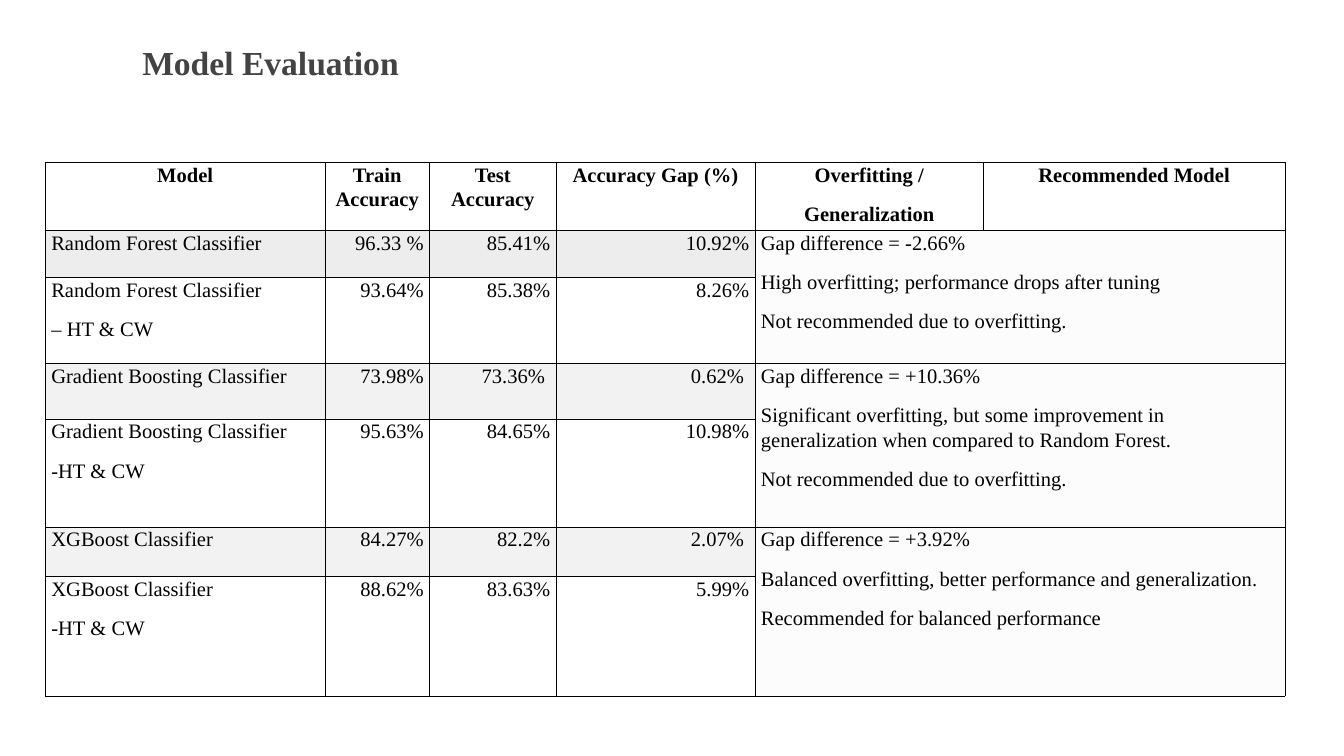
from lxml.etree import SubElement
from pptx import Presentation
from pptx.dml.color import RGBColor
from pptx.enum.text import PP_ALIGN
from pptx.oxml import parse_xml
from pptx.oxml.ns import nsdecls, qn
from pptx.util import Cm, Pt

COLUMN_WIDTHS = [5.28, 1.98, 2.39, 3.76, 4.32, 5.69]
ROW_HEIGHTS = [1.28, 0.89, 1.63, 1.05, 2.04, 0.94, 2.26]
HEADINGS = ["Model", "Train Accuracy", "Test Accuracy", "Accuracy Gap (%)",
            "Overfitting /\nGeneralization", "Recommended Model"]

# Each group: fill of its first row, two rows of results, shared verdict
GROUPS = [
    ("A6A6A6",
     [["Random Forest Classifier", "96.33 %", "85.41%", "10.92%"],
      ["Random Forest Classifier\n– HT & CW", "93.64%", "85.38%", "8.26%"]],
     "Gap difference = -2.66%\n"
     "High overfitting; performance drops after tuning\n"
     "Not recommended due to overfitting."),
    ("BFBFBF",
     [["Gradient Boosting Classifier", "73.98%", "73.36% ", "0.62% "],
      ["Gradient Boosting Classifier\n-HT & CW", "95.63%", "84.65%", "10.98%"]],
     "Gap difference = +10.36%\n"
     "Significant overfitting, but some improvement in generalization "
     "when compared to Random Forest.\n"
     "Not recommended due to overfitting."),
    ("BFBFBF",
     [["XGBoost Classifier", "84.27%", "82.2%", "2.07% "],
      ["XGBoost Classifier\n-HT & CW", "88.62%", "83.63%", "5.99%"]],
     "Gap difference = +3.92%\n"
     "Balanced overfitting, better performance and generalization.\n"
     "Recommended for balanced performance"),
]

TITLE_FONT = {"name": "Times New Roman", "size": Pt(18), "bold": True}
HEADING_FONT = {"name": "Times New Roman", "size": Pt(11), "bold": True}
BODY_FONT = HEADING_FONT | {"bold": False}
CELL_SPACING = {"line_spacing": 1.07, "space_after": Pt(8)}
CELL_MARGINS = {"margin_left": Cm(0.11), "margin_right": Cm(0.11),
                "margin_top": 0, "margin_bottom": 0}


def color(hex_value):
    return RGBColor.from_string(hex_value)


def apply(target, values):
    for name, value in values.items():
        setattr(target, name, value)


def write_text(frame, text, font, font_color, spacing):
    frame.text = text
    for paragraph in frame.paragraphs:
        apply(paragraph, spacing)
        for run in paragraph.runs:
            apply(run.font, font)
            run.font.color.rgb = color(font_color)


def add_title(slide, text):
    title = slide.shapes.add_textbox(Cm(2.44), Cm(0.56), Cm(7.6), Cm(1.6))
    title.text_frame.word_wrap = True
    write_text(title.text_frame, text, TITLE_FONT, "434343", {"line_spacing": 1.15})


def shade(cell, fill):
    """Fill a cell at 20 % opacity, or leave it clear."""
    if fill is None:
        cell.fill.background()
        return
    cell.fill.solid()
    cell.fill.fore_color.rgb = color(fill)
    for tint in cell._tc.tcPr.iter(qn("a:srgbClr")):
        SubElement(tint, qn("a:alpha"), val="20000")


def draw_borders(cell):
    properties = cell._tc.get_or_add_tcPr()
    for position, side in enumerate(("lnL", "lnR", "lnT", "lnB")):
        properties.insert(position, parse_xml(
            f'<a:{side} {nsdecls("a")} w="{Pt(0.25)}"><a:solidFill>'
            f'<a:srgbClr val="000000"/></a:solidFill></a:{side}>'))


def fill_cell(cell, text, align, font=BODY_FONT, fill=None):
    write_text(cell.text_frame, text, font, "000000",
               CELL_SPACING | {"alignment": align})
    shade(cell, fill)


def add_results_table(slide):
    results = slide.shapes.add_table(
        len(ROW_HEIGHTS), len(COLUMN_WIDTHS), Cm(0.86), Cm(3.07),
        Cm(sum(COLUMN_WIDTHS)), Cm(sum(ROW_HEIGHTS))).table
    results.first_row = results.horz_banding = False
    for column, width in zip(results.columns, COLUMN_WIDTHS):
        column.width = Cm(width)
    for row, height in zip(results.rows, ROW_HEIGHTS):
        row.height = Cm(height)
    for cell in results.iter_cells():
        apply(cell, CELL_MARGINS)
        shade(cell, None)

    # Headings
    for column, heading in enumerate(HEADINGS):
        fill_cell(results.cell(0, column), heading, PP_ALIGN.CENTER, HEADING_FONT)

    # Model results, with one verdict across each pair of rows
    for group, (first_fill, models, verdict) in enumerate(GROUPS):
        top = 1 + 2 * group
        for offset, (values, fill) in enumerate(zip(models, (first_fill, None))):
            for column, value in enumerate(values):
                align = PP_ALIGN.RIGHT if column else PP_ALIGN.LEFT
                fill_cell(results.cell(top + offset, column), value, align, fill=fill)
        verdict_cell = results.cell(top, 4)
        verdict_cell.merge(results.cell(top + 1, 5))
        fill_cell(verdict_cell, verdict, PP_ALIGN.LEFT, fill="F2F2F2")

    for cell in results.iter_cells():
        draw_borders(cell)


def main():
    presentation = Presentation()
    presentation.slide_width, presentation.slide_height = Cm(25.4), Cm(14.29)
    slide = presentation.slides.add_slide(presentation.slide_layouts[6])
    add_title(slide, "Model Evaluation")
    add_results_table(slide)
    presentation.save("out.pptx")


if __name__ == "__main__":
    main()
